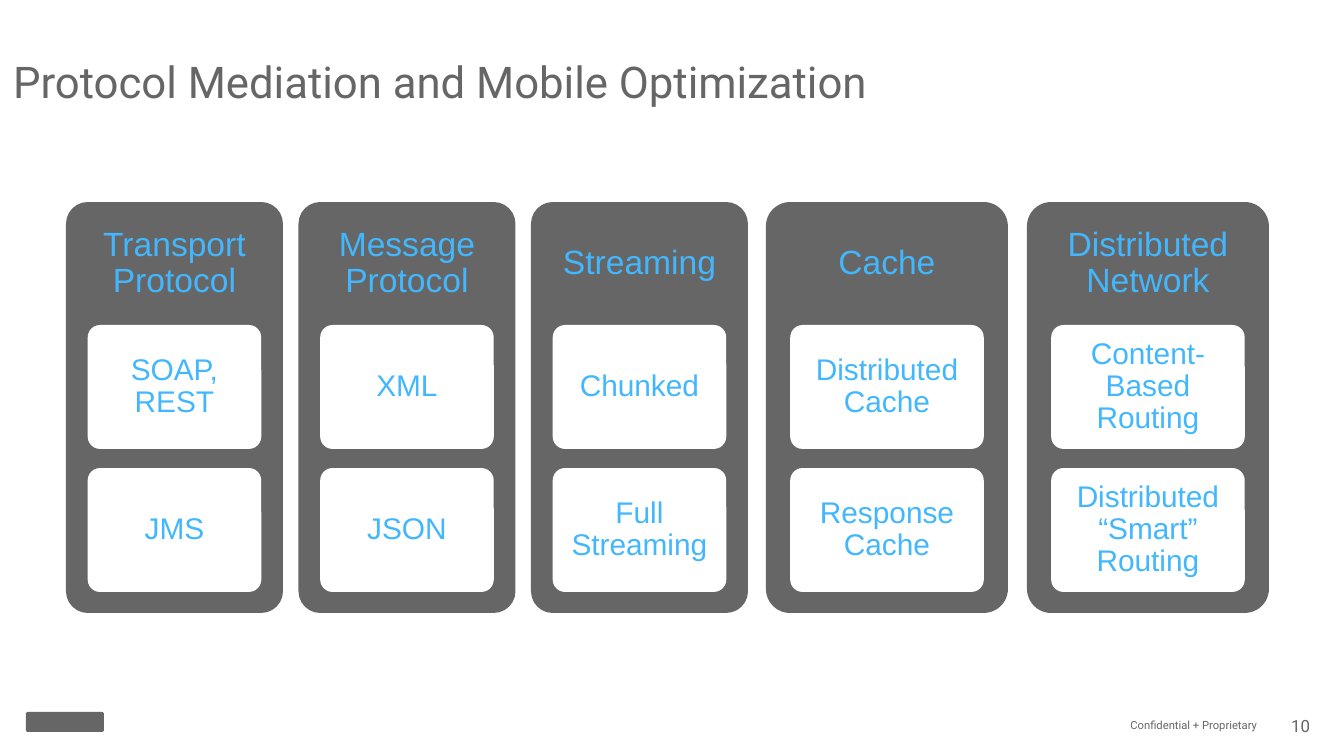
from pptx import Presentation
from pptx.dml.color import RGBColor
from pptx.enum.shapes import MSO_SHAPE
from pptx.enum.text import MSO_ANCHOR, MSO_AUTO_SIZE, PP_ALIGN
from pptx.util import Emu, Pt

ROUNDED = MSO_SHAPE.ROUNDED_RECTANGLE
TOP, MIDDLE = MSO_ANCHOR.TOP, MSO_ANCHOR.MIDDLE
LEFT, CENTER, RIGHT = PP_ALIGN.LEFT, PP_ALIGN.CENTER, PP_ALIGN.RIGHT
NO_FIT = MSO_AUTO_SIZE.NONE

GRAY, WHITE, BLUE = "666666", "FFFFFF", "42B7FD"
TITLE = "Protocol Mediation and Mobile Optimization"
FOOTER = "Confidential + Proprietary"
PAGE_NUMBER = "10"

# Each group of cards: left of the first and last card, card width, cards
GROUPS = [
    (66, 531, 217, [
        ("Transport Protocol", ["SOAP, REST", "JMS"]),
        ("Message Protocol", ["XML", "JSON"]),
        ("Streaming", ["Chunked", "Full Streaming"]),
    ]),
    (766, 1027, 242, [
        ("Cache", ["Distributed Cache", "Response Cache"]),
        ("Distributed Network", ["Content-Based Routing", "Distributed “Smart” Routing"]),
    ]),
]
CARD_TOP, CARD_HEIGHT, HEADING_HEIGHT = 202, 411, 123
TILE_HEIGHT, TILE_GAP = 124, 19

# Text formats: font, size, colour, alignment, anchor, line spacing, insets in px
TITLE_FORMAT = ("Roboto", 23.4, GRAY, LEFT, TOP, 1.0, (13, 13))
FOOTER_FORMAT = ("Roboto", 6, GRAY, RIGHT, MIDDLE, 0.95, (13, 13))
NUMBER_FORMAT = ("Roboto", 9, GRAY, RIGHT, MIDDLE, 1.0, (13, 13))
HEADING_FORMAT = ("Arial", 18, BLUE, CENTER, MIDDLE, 0.9, (9, 9))
TILE_FORMAT = ("Arial", 16, BLUE, CENTER, MIDDLE, 0.9, (5, 4))


def px(value):
    return Emu(round(value * 914400 / 134.4))


def color(value):
    return RGBColor.from_string(value)


def set_all(target, values):
    for name, value in values.items():
        setattr(target, name, value)


def write(shape, text, text_format):
    name, size, text_color, alignment, anchor, spacing, (side, edge) = text_format
    frame = shape.text_frame
    frame.text = text
    set_all(frame, {
        "word_wrap": True, "auto_size": NO_FIT, "vertical_anchor": anchor,
        "margin_left": px(side), "margin_right": px(side),
        "margin_top": px(edge), "margin_bottom": px(edge),
    })
    paragraph = frame.paragraphs[0]
    set_all(paragraph, {"alignment": alignment, "line_spacing": spacing})
    set_all(paragraph.font, {"name": name, "size": Pt(size)})
    paragraph.font.color.rgb = color(text_color)


def add_text(slide, box, text, text_format):
    write(slide.shapes.add_textbox(*map(px, box)), text, text_format)


def add_rounded(slide, box, fill):
    shape = slide.shapes.add_shape(ROUNDED, *map(px, box))
    shape.adjustments[0] = 0.1
    shape.shadow.inherit = False
    shape.fill.solid()
    shape.fill.fore_color.rgb = color(fill)
    shape.line.fill.background()
    return shape


def add_card(slide, left, width, heading, tiles):
    add_rounded(slide, (left, CARD_TOP, width, CARD_HEIGHT), GRAY)
    add_text(slide, (left, CARD_TOP, width, HEADING_HEIGHT), heading, HEADING_FORMAT)
    for row, text in enumerate(tiles):
        top = CARD_TOP + HEADING_HEIGHT + row * (TILE_HEIGHT + TILE_GAP)
        box = (left + width * 0.1, top, width * 0.8, TILE_HEIGHT)
        write(add_rounded(slide, box, WHITE), text, TILE_FORMAT)


def main():
    presentation = Presentation()
    presentation.slide_width, presentation.slide_height = px(1344), px(756)
    slide = presentation.slides.add_slide(presentation.slide_layouts[5])

    title = slide.shapes.title
    set_all(title, {"left": px(0), "top": px(42), "width": px(992), "height": px(40)})
    write(title, TITLE, TITLE_FORMAT)

    for first, last, width, cards in GROUPS:
        pitch = (last - first) / (len(cards) - 1)
        for column, (heading, tiles) in enumerate(cards):
            add_card(slide, first + column * pitch, width, heading, tiles)

    add_rounded(slide, (26, 712, 78, 20), GRAY)  # logo placeholder
    add_text(slide, (747, 706, 523, 40), FOOTER, FOOTER_FORMAT)
    add_text(slide, (1242, 706, 81, 40), PAGE_NUMBER, NUMBER_FORMAT)
    presentation.save("out.pptx")


if __name__ == "__main__":
    main()
